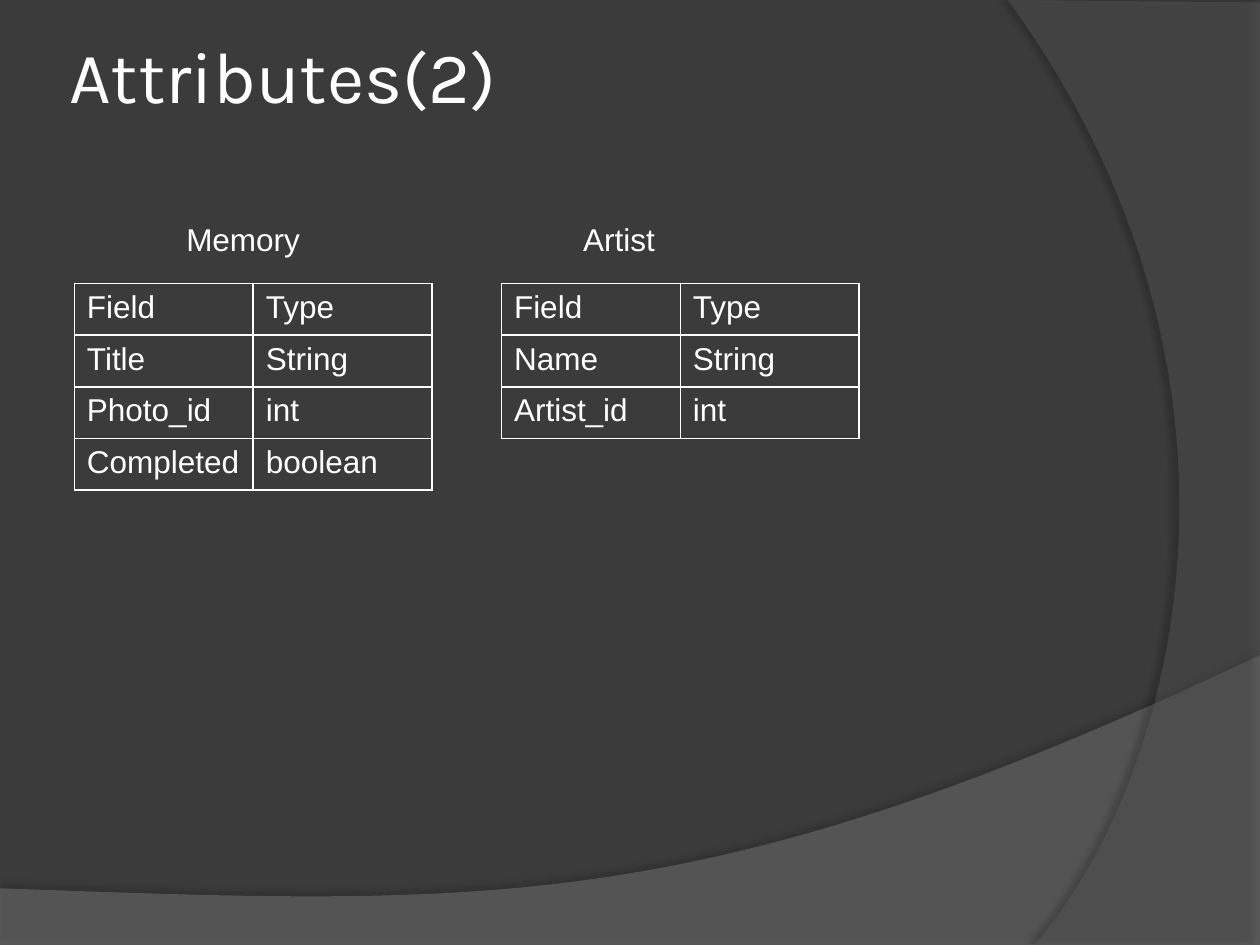
from lxml import etree
from pptx import Presentation
from pptx.dml.color import RGBColor
from pptx.enum.text import MSO_ANCHOR, PP_ALIGN
from pptx.oxml import parse_xml
from pptx.oxml.ns import qn
from pptx.util import Inches, Pt

TOP = MSO_ANCHOR.TOP
LEFT = PP_ALIGN.LEFT
WHITE = "FFFFFF"
NAMESPACE = 'xmlns:a="http://schemas.openxmlformats.org/drawingml/2006/main"'
CURVE_STEPS = 60
COLUMN_WIDTH, ROW_HEIGHT = 1.42, 0.41


def color(hex_string):
    return RGBColor.from_string(hex_string)


def write(paragraph, text, size=18, font_name="Arial"):
    """Add one white, left-aligned run."""
    paragraph.alignment = LEFT
    run = paragraph.add_run()
    run.text = text
    run.font.size = Pt(size)
    run.font.name = font_name
    run.font.color.rgb = color(WHITE)


presentation = Presentation()
presentation.slide_width = Inches(10)
presentation.slide_height = Inches(7.5)
slide = presentation.slides.add_slide(presentation.slide_layouts[5])
slide.background.fill.solid()
slide.background.fill.fore_color.rgb = color("3B3B3B")

# Background waves: corner points, Bezier curve, fill, opacity and
# shadow (opacity, distance in points, direction in degrees)
waves = [
    ([(0, 7.05), (0, 7.51), (10, 7.51)],
     [(10, 5.2), (5.59, 7.29), (3.91, 7.19), (0, 7.05)],
     "7F7F7F", 45, (35, 3.5, 270)),
    ([(10, 0.02), (10, 7.5)],
     [(8.21, 7.5), (9.35, 6.19), (10.18, 3), (8, 0)],
     "5E5E5E", 40, (45, 4, 180)),
]
for corners, curve, fill, opacity, (shadow_opacity, distance, direction) in waves:
    points = list(corners)
    for step in range(CURVE_STEPS + 1):
        t = step / CURVE_STEPS
        weights = ((1 - t) ** 3, 3 * t * (1 - t) ** 2, 3 * t ** 2 * (1 - t), t ** 3)
        points.append(tuple(
            sum(weight * point[axis] for weight, point in zip(weights, curve))
            for axis in (0, 1)))
    points = [(Inches(x), Inches(y)) for x, y in points]
    builder = slide.shapes.build_freeform(*points[0])
    builder.add_line_segments(points[1:], close=True)
    wave = builder.convert_to_shape()
    wave.line.fill.background()
    wave.fill.solid()
    wave.fill.fore_color.rgb = color(fill)
    fill_color = wave._element.spPr.find(qn("a:solidFill"))[0]
    etree.SubElement(fill_color, qn("a:alpha"), val=str(opacity * 1000))
    wave.shadow.inherit = False
    wave._element.spPr.find(qn("a:effectLst")).append(parse_xml(
        f'<a:outerShdw {NAMESPACE} blurRad="{Pt(4)}" dist="{Pt(distance)}" '
        f'dir="{direction * 60000}" algn="ctr" rotWithShape="0">'
        f'<a:srgbClr val="000000"><a:alpha val="{shadow_opacity * 1000}"/>'
        '</a:srgbClr></a:outerShdw>'))

# The title goes in front of the waves
title = slide.shapes.title
title._element.getparent().append(title._element)
title.left, title.top = Inches(0.5), Inches(0.25)
title.width, title.height = Inches(8.17), Inches(1.3)
title_frame = title.text_frame
title_frame.vertical_anchor = TOP
title_frame.margin_left = title_frame.margin_right = Inches(0.05)
title_frame.margin_top = title_frame.margin_bottom = 0
write(title_frame.paragraphs[0], "Attributes(2)", 41.4, "Karla")

# Entity name, label left and width, table left, fields
entities = [
    ("Memory", 1.38, 1.18, 0.59,
     [("Title", "String"), ("Photo_id", "int"), ("Completed", "boolean")]),
    ("Artist", 4.53, 1.26, 3.98,
     [("Name", "String"), ("Artist_id", "int")]),
]
for name, label_left, label_width, table_left, fields in entities:
    rows = [("Field", "Type")] + fields
    table = slide.shapes.add_table(
        len(rows), 2, Inches(table_left), Inches(2.25),
        Inches(2 * COLUMN_WIDTH), Inches(len(rows) * ROW_HEIGHT)).table
    table.first_row = False
    table.horz_banding = False
    for row_index, row in enumerate(rows):
        for column_index, text in enumerate(row):
            cell = table.cell(row_index, column_index)
            write(cell.text_frame.paragraphs[0], text)
            properties = cell._tc.get_or_add_tcPr()
            for side in ("lnL", "lnR", "lnT", "lnB"):
                properties.append(parse_xml(
                    f'<a:{side} {NAMESPACE} w="{Pt(1)}"><a:solidFill>'
                    f'<a:srgbClr val="{WHITE}"/></a:solidFill></a:{side}>'))
            cell.fill.background()

    label = slide.shapes.add_textbox(
        Inches(label_left), Inches(1.7), Inches(label_width), Inches(0.4))
    label.text_frame.word_wrap = True
    write(label.text_frame.paragraphs[0], name)

presentation.save("out.pptx")
